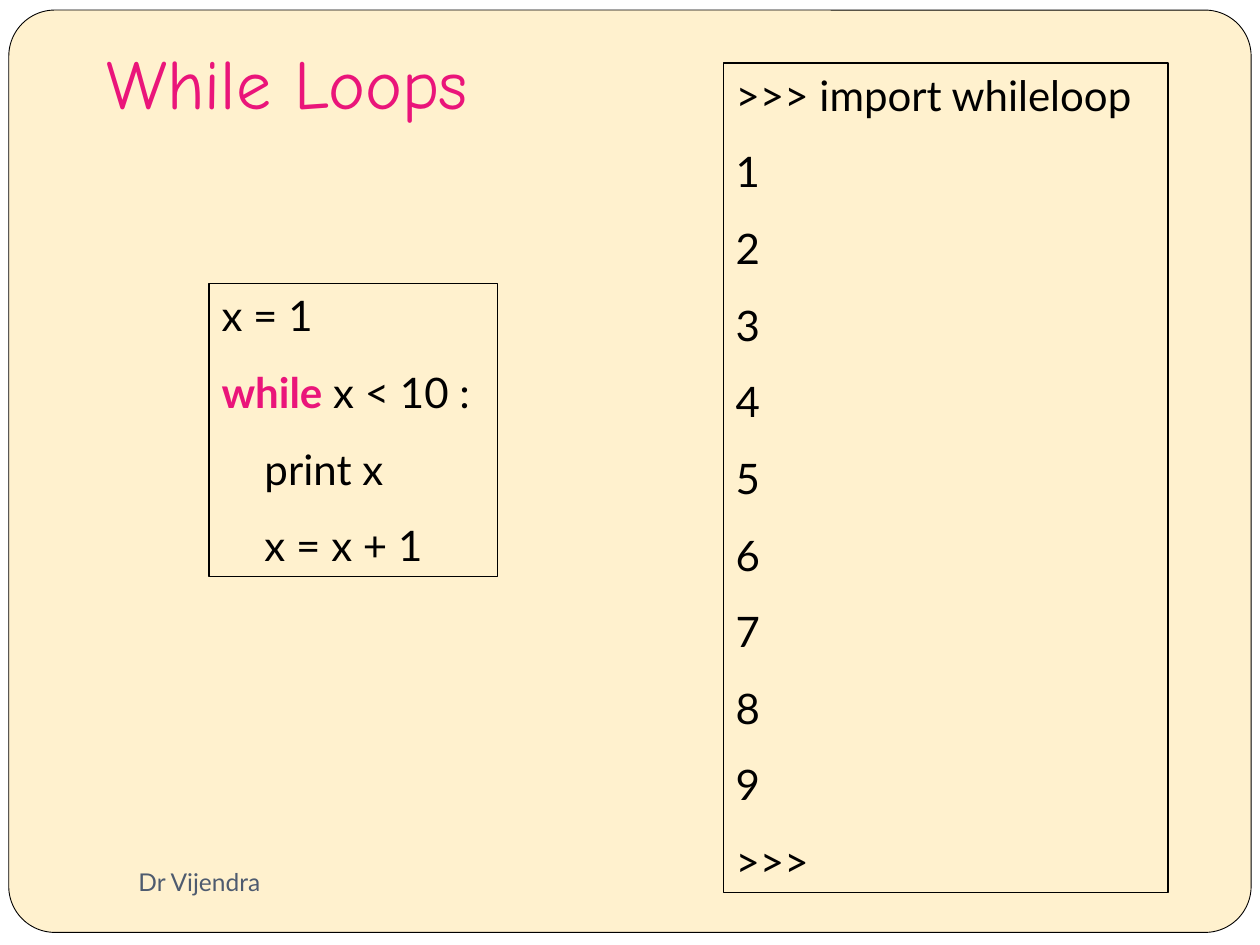
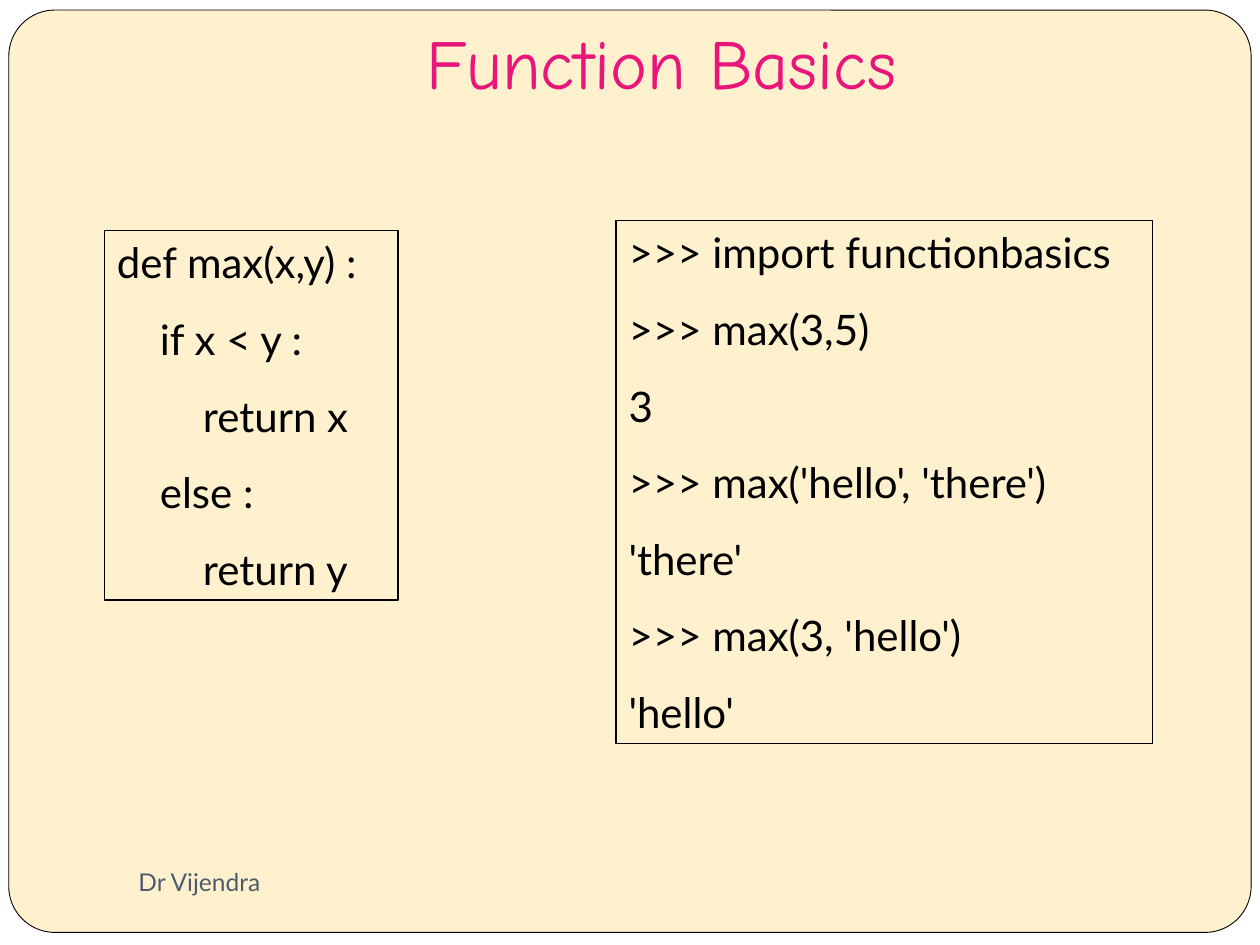
from dataclasses import dataclass

from pptx import Presentation
from pptx.dml.color import RGBColor
from pptx.enum.shapes import MSO_SHAPE
from pptx.enum.text import MSO_ANCHOR, PP_ALIGN
from pptx.util import Inches, Pt


@dataclass(frozen=True)
class Theme:
    paper: RGBColor = RGBColor.from_string("FFFFFF")
    panel: RGBColor = RGBColor.from_string("FFF1CE")
    ink: RGBColor = RGBColor.from_string("000000")
    accent: RGBColor = RGBColor.from_string("EA157A")
    muted: RGBColor = RGBColor.from_string("4E5B6F")
    title_font: str = "Comic Neue"
    body_font: str = "Lato"
    title_size: int = 40
    code_size: int = 24
    footer_size: int = 14
    code_gap: int = 15
    code_leading: float = 1.2


THEME = Theme()
KEYWORD = "while"


def add_run(p, text, font, size, color, bold=False):
    r = p.add_run()
    r.text = text
    r.font.name = font
    r.font.size = Pt(size)
    r.font.color.rgb = color
    r.font.bold = bold


def prepare_frame(sp, anchor, bottom=0.05):
    tf = sp.text_frame
    tf.word_wrap = True
    tf.vertical_anchor = anchor
    tf.margin_left = tf.margin_right = Inches(0.1)
    tf.margin_top = Inches(0.05)
    tf.margin_bottom = Inches(bottom)
    return tf


def add_outlined(s, kind, left, top, width, height, weight):
    sp = s.shapes.add_shape(kind, Inches(left), Inches(top), Inches(width), Inches(height))
    sp.shadow.inherit = False
    sp.line.color.rgb = THEME.ink
    sp.line.width = Pt(weight)
    return sp


def add_panel(s):
    s.background.fill.solid()
    s.background.fill.fore_color.rgb = THEME.paper
    sp = add_outlined(s, MSO_SHAPE.ROUNDED_RECTANGLE, 0.07, 0.08, 9.86, 7.32, 0.5)
    sp.adjustments[0] = 0.05
    sp.fill.solid()
    sp.fill.fore_color.rgb = THEME.panel


def add_title(s, text, left, top, width, height, align):
    sp = s.shapes.add_textbox(Inches(left), Inches(top), Inches(width), Inches(height))
    p = prepare_frame(sp, MSO_ANCHOR.BOTTOM, bottom=0.1).paragraphs[0]
    p.alignment = align
    add_run(p, text, THEME.title_font, THEME.title_size, THEME.accent)


def add_footer(s):
    sp = s.shapes.add_textbox(Inches(1), Inches(6.75), Inches(4.33), Inches(0.5))
    p = prepare_frame(sp, MSO_ANCHOR.MIDDLE).paragraphs[0]
    add_run(p, "Dr Vijendra", THEME.body_font, THEME.footer_size, THEME.muted)


def add_code(s, left, top, width, lines):
    line_height = THEME.code_size * THEME.code_leading
    points = len(lines) * line_height + (len(lines) - 1) * THEME.code_gap
    sp = add_outlined(s, MSO_SHAPE.RECTANGLE, left, top, width, points / 72 + 0.1, 0.75)
    sp.fill.background()
    tf = prepare_frame(sp, MSO_ANCHOR.TOP)
    for i, line in enumerate(lines):
        p = tf.add_paragraph() if i else tf.paragraphs[0]
        p.alignment = PP_ALIGN.LEFT
        p.space_before = Pt(THEME.code_gap if i else 0)
        if line.startswith(KEYWORD):
            add_run(p, KEYWORD, THEME.body_font, THEME.code_size, THEME.accent, bold=True)
            line = line.removeprefix(KEYWORD)
        add_run(p, line, THEME.body_font, THEME.code_size, THEME.ink)


def new_slide(prs):
    s = prs.slides.add_slide(prs.slide_layouts[6])
    add_panel(s)
    add_footer(s)
    return s


def build_while_loops(prs):
    s = new_slide(prs)
    add_title(s, "While Loops", 0.75, 0.36, 3.84, 0.72, PP_ALIGN.LEFT)
    add_code(s, 1.66, 2.25, 2.29, [
        "x = 1",
        "while x < 10 :",
        "    print x",
        "    x = x + 1",
    ])
    counted = [str(n) for n in range(1, 10)]
    add_code(s, 5.74, 0.5, 3.53, [">>> import whileloop", *counted, ">>>"])


def build_function_basics(prs):
    s = new_slide(prs)
    add_title(s, "Function Basics", 1, 0.17, 8.5, 0.75, PP_ALIGN.CENTER)
    add_code(s, 0.83, 1.83, 2.33, [
        "def max(x,y) :",
        "    if x < y :",
        "        return x",
        "    else :",
        "        return y",
    ])
    add_code(s, 4.89, 1.75, 4.26, [
        ">>> import functionbasics",
        ">>> max(3,5)",
        "3",
        ">>> max('hello', 'there')",
        "'there'",
        ">>> max(3, 'hello')",
        "'hello'",
    ])


def main():
    prs = Presentation()
    prs.slide_width = Inches(10)
    prs.slide_height = Inches(7.5)
    build_while_loops(prs)
    build_function_basics(prs)
    prs.save("out.pptx")


if __name__ == "__main__":
    main()
